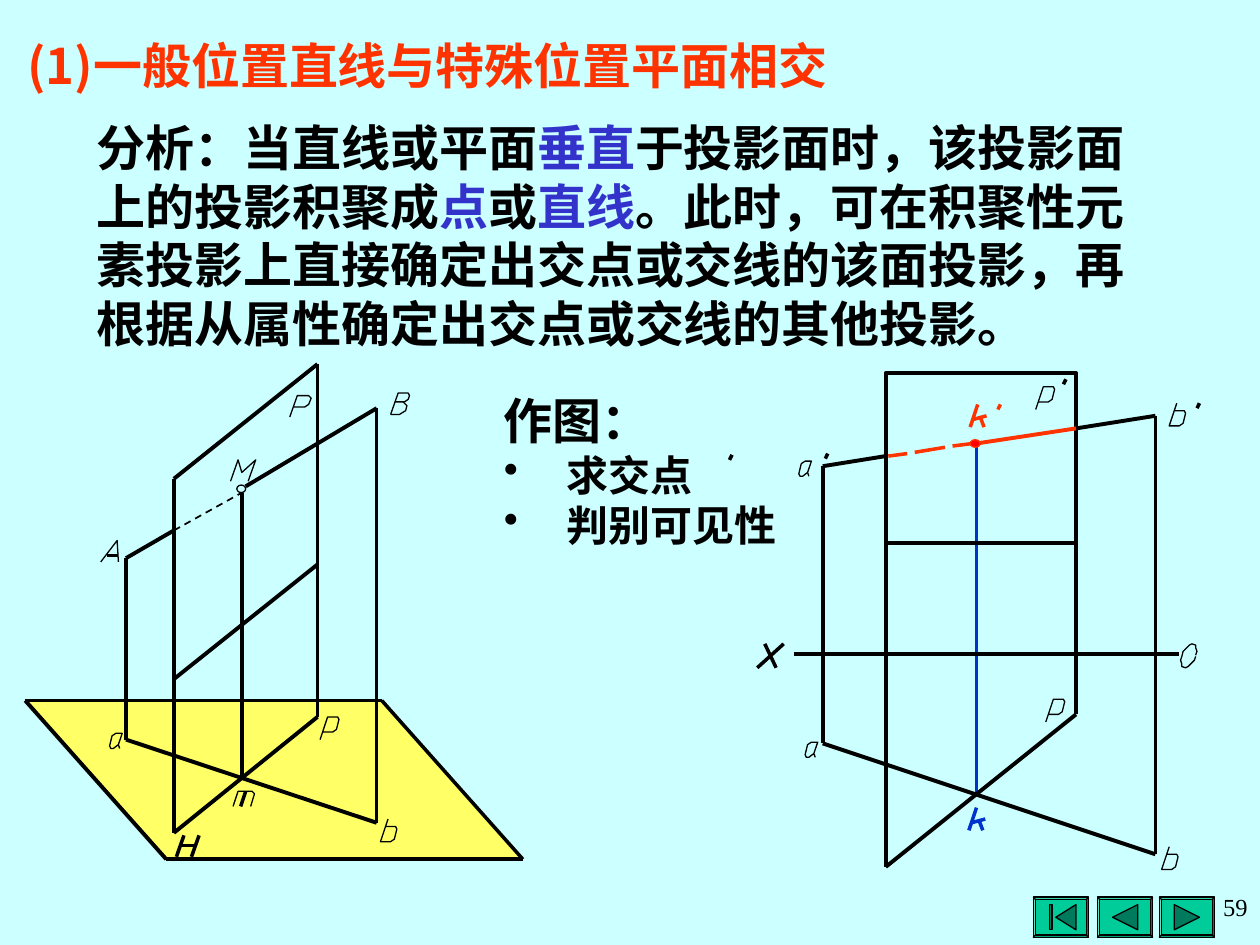
from math import cos, pi, sin
from typing import NamedTuple

from lxml import etree
from pptx import Presentation
from pptx.dml.color import RGBColor
from pptx.enum.dml import MSO_LINE
from pptx.enum.shapes import MSO_CONNECTOR, MSO_SHAPE
from pptx.enum.text import MSO_ANCHOR, PP_ALIGN
from pptx.oxml.ns import qn
from pptx.util import Pt

PX = 9144  # EMU in one px: 100 px to the inch
STRAIGHT, DASH = MSO_CONNECTOR.STRAIGHT, MSO_LINE.DASH
OVAL, BEVEL = MSO_SHAPE.OVAL, MSO_SHAPE.BEVEL
TOP, MIDDLE = MSO_ANCHOR.TOP, MSO_ANCHOR.MIDDLE
LEFT, RIGHT = PP_ALIGN.LEFT, PP_ALIGN.RIGHT

SKY = RGBColor.from_string("CCFFFF")
BLACK = RGBColor.from_string("000000")
ORANGE = RGBColor.from_string("FF3300")
RED = RGBColor.from_string("FF0000")
INDIGO = RGBColor.from_string("3333CC")
BLUE = RGBColor.from_string("0033CC")
YELLOW = RGBColor.from_string("FFFF66")
GREEN = RGBColor.from_string("00CC99")
DARK_GREEN = RGBColor.from_string("007A5C")
CJK, SERIF = "Noto Sans CJK SC", "Times New Roman"
HAIR, BOLD = 0, 2.25

Points = list[tuple[int, int]]


class Letter(NamedTuple):
    name: str
    x: int
    y: int
    color: RGBColor = BLACK


class Column(NamedTuple):
    """Points above one another; a projection line joins the last two."""
    x: int
    heights: tuple[int, ...]
    color: RGBColor = BLACK

    def at(self, index: int) -> tuple[int, int]:
        return self.x, self.heights[index]


class Span(NamedTuple):
    text: str
    color: RGBColor = BLACK


class Para(NamedTuple):
    spans: list[Span]
    size: int = 28
    font: str = CJK
    bold: bool = True
    align: PP_ALIGN = LEFT
    hanging: int = 0
    bullet: str = ""


# Upright single-stroke lettering; it is slanted when drawn
BOWL = [(0, 18), (0, 0), (8, 0), (10, 2), (10, 10), (8, 12), (0, 12)]
RING = [(round(5.5 + 5.5 * cos(step * pi / 8)), round(9.5 + 9.5 * sin(step * pi / 8)))
        for step in range(17)]
GLYPHS: dict[str, list[Points]] = {
    "A": [[(0, 17), (7, 0), (14, 17)], [(12, 12), (3, 12)]],
    "B": [[(0, 17), (0, 0), (8, 0), (10, 2), (10, 5), (8, 7), (0, 7)],
          [(7, 7), (11, 10), (11, 14), (7, 17), (0, 17)]],
    "H": [[(0, 17), (0, 0)], [(0, 8), (12, 8)], [(12, 0), (12, 17)]],
    "M": [[(0, 17), (0, 0), (7, 10), (14, 0), (14, 17)]],
    "O": [RING],
    "P": [[(0, 17), (0, 0), (9, 0), (12, 2), (12, 7), (9, 9), (0, 9)]],
    "X": [[(0, 0), (15, 19)], [(15, 0), (0, 19)]],
    "a": [[(9, 12), (7, 9), (7, 0), (2, 0), (0, 2), (0, 10), (2, 12), (4, 12), (7, 9)]],
    "b": [[(x, 18 - y) for x, y in BOWL]],
    "k": [[(0, 18), (0, 0)], [(10, 9), (0, 12)], [(5, 10), (11, 18)]],
    "m": [[(14, 12), (14, 2), (11, 0), (0, 0), (0, 12)], [(6, 12), (6, 0)]],
    "p": [BOWL],
    "′": [[(0, 4), (1, 0)]],
}
LETTERS = [
    Letter("A", 80, 429), Letter("B", 310, 312), Letter("P", 230, 314), Letter("M", 183, 365),
    Letter("a", 86, 582), Letter("b", 302, 650), Letter("p", 254, 569), Letter("m", 185, 628),
    Letter("H", 140, 663), Letter("X", 601, 511), Letter("O", 935, 511),
    Letter("a′", 633, 366), Letter("b′", 928, 320), Letter("p′", 822, 307),
    Letter("k′", 770, 321, ORANGE), Letter("′", 579, 361),
    Letter("a", 638, 589), Letter("b", 922, 672), Letter("p", 830, 555),
    Letter("k", 769, 641, BLUE),
]


def paint(shape, fill: RGBColor | None, line: RGBColor | None, width: float = HAIR) -> None:
    shape.shadow.inherit = False
    for part, color in ((shape.fill, fill), (shape.line.fill, line)):
        if color is None:
            part.background()
        else:
            part.solid()
            part.fore_color.rgb = color
    if line is not None:
        shape.line.width = Pt(width)


def outline(shapes, points: Points, closed: bool = True):
    builder = shapes.build_freeform(*points[0], scale=PX)
    builder.add_line_segments(points[1:], close=closed)
    return builder.convert_to_shape()


def draw_stroke(shapes, *points: tuple[int, int], width: float = HAIR,
                color: RGBColor = BLACK, dash: MSO_LINE | None = None) -> None:
    if len(points) > 2:
        paint(outline(shapes, list(points), False), None, color, width)
        return
    ends = [value * PX for point in points for value in point]
    line = shapes.add_connector(STRAIGHT, *ends)
    for name, value in {"width": Pt(width), "dash_style": dash}.items():
        setattr(line.line, name, value)
    line.line.color.rgb = color
    etree.SubElement(line._element.spPr, qn("a:effectLst"))


def draw_letter(shapes, letter: Letter) -> None:
    left, top = letter.x, letter.y
    for name in letter.name:
        strokes = GLYPHS[name]
        height = max(y for points in strokes for _, y in points)
        for points in strokes:
            slanted = [(left + x + round((height - y) / 3), top + y) for x, y in points]
            draw_stroke(shapes, *slanted, color=letter.color)
        # A prime stands higher beside a letter without an ascender
        left, top = left + 22, top - 6 * (name in "ap")


def draw_space_view(shapes) -> None:
    corners = [(20, 556), (303, 556), (415, 682), (132, 682)]
    paint(outline(shapes, corners), YELLOW, None)
    for index, width in enumerate((HAIR, HAIR, BOLD, BOLD)):
        draw_stroke(shapes, corners[index], corners[(index + 1) % 4], width=width)
    start, near, meet, far, end = columns = [
        Column(100, (443, 587)), Column(138, (380, 421, 539, 661)), Column(192, (391, 617)),
        Column(252, (289, 448, 569)), Column(299, (324, 653))]
    for column in columns:
        draw_stroke(shapes, column.at(-2), column.at(-1))
    for side in (near, far):
        draw_stroke(shapes, side.at(0), side.at(-2), width=BOLD)
    for level in (0, -2, -1):
        draw_stroke(shapes, near.at(level), far.at(level), width=BOLD)
    draw_stroke(shapes, start.at(0), near.at(1), width=BOLD)
    draw_stroke(shapes, near.at(1), meet.at(0), width=1, dash=DASH)
    draw_stroke(shapes, (195, 386), end.at(0), width=BOLD)
    draw_stroke(shapes, start.at(-1), end.at(-1), width=BOLD)


def draw_projection_view(shapes) -> None:
    start, near, meet, far, end = columns = [
        Column(653, (370, 590)), Column(703, (296, 362, 431, 688)),
        Column(775, (352, 631), BLUE), Column(854, (296, 340, 431, 567)),
        Column(917, (330, 678))]
    for column in columns:
        draw_stroke(shapes, column.at(-2), column.at(-1), color=column.color)
    draw_stroke(shapes, (630, 519), (936, 519))
    draw_stroke(shapes, near.at(2), near.at(0), far.at(0), far.at(2), width=BOLD)
    for first, last in ((near.at(2), far.at(2)), (start.at(0), near.at(1)),
                        (far.at(1), end.at(0)), (start.at(-1), end.at(-1)),
                        (near.at(-1), far.at(-1))):
        draw_stroke(shapes, first, last, width=BOLD)
    draw_stroke(shapes, meet.at(0), far.at(1), width=BOLD, color=ORANGE)
    for left, right in ((705, 720), (726, 750), (756, 772)):
        dash = [(x, 362 - round((x - near.x) / 7)) for x in (left, right)]
        draw_stroke(shapes, *dash, color=ORANGE)


def draw_button(shapes, left: int, direction: int, stop_bar: bool = False) -> None:
    button = add_preset(shapes, BEVEL, left, 712, 44, 32)
    button.adjustments[0] = 0.06
    paint(button, GREEN, BLACK, 0.75)
    middle, reach = left + (26 if stop_bar else 22), 8 if stop_bar else 10
    back, tip = middle - direction * reach, middle + direction * reach
    icons = [[(back, 718), (tip, 728), (back, 738)]]
    if stop_bar:
        bar, edge = left + 13, left + 15
        icons.append([(bar, 718), (edge, 718), (edge, 738), (bar, 738)])
    for icon in icons:
        paint(outline(shapes, icon), DARK_GREEN, BLACK, 0.75)


def add_preset(shapes, kind: MSO_SHAPE, *place: int):
    return shapes.add_shape(kind, *(value * PX for value in place))


def add_text(shapes, place: tuple[int, ...], paras: list[Para], anchor: MSO_ANCHOR = TOP,
             margins: tuple[int, int] = (9, 1)) -> None:
    frame = shapes.add_textbox(*(value * PX for value in place)).text_frame
    settings = {"word_wrap": True, "vertical_anchor": anchor,
                "margin_top": margins[0] * PX, "margin_bottom": margins[1] * PX}
    for name, value in settings.items():
        setattr(frame, name, value)
    for index, para in enumerate(paras):
        target = frame.add_paragraph() if index else frame.paragraphs[0]
        target.alignment = para.align
        target.line_spacing = Pt(round(para.size * 1.2, 1))
        properties = target._p.get_or_add_pPr()
        if para.hanging:
            properties.set("marL", str(para.hanging * PX))
            properties.set("indent", str(-para.hanging * PX))
        if para.bullet:
            etree.SubElement(properties, qn("a:buChar"), char=para.bullet)
        for span in para.spans:
            run = target.add_run()
            run.text = span.text
            for name, value in {"size": Pt(para.size), "bold": para.bold,
                                "name": para.font}.items():
                setattr(run.font, name, value)
            run.font.color.rgb = span.color
            etree.SubElement(run._r.get_or_add_rPr(), qn("a:ea"), typeface=para.font)


def main() -> None:
    deck = Presentation()
    deck.slide_width, deck.slide_height = 1000 * PX, 750 * PX
    page = deck.slides.add_slide(deck.slide_layouts[6])
    page.background.fill.solid()
    page.background.fill.fore_color.rgb = SKY
    shapes = page.shapes

    # Navigation buttons
    draw_button(shapes, 920, 1)
    draw_button(shapes, 871, -1)
    draw_button(shapes, 820, -1, stop_bar=True)

    # Title, analysis and steps
    add_text(shapes, (12, 19, 780, 57),
             [Para([Span("(1)一般位置直线与特殊位置平面相交", ORANGE)])], MIDDLE)
    add_text(shapes, (67, 84, 858, 197), [Para([
        Span("分析：当直线或平面"), Span("垂直", INDIGO),
        Span("于投影面时，该投影面上的投影积聚成"), Span("点", INDIGO), Span("或"),
        Span("直线", INDIGO),
        Span("。此时，可在积聚性元素投影上直接确定出交点或交线的该面投影，"
             "再根据从属性确定出交点或交线的其他投影。")])], MIDDLE)
    steps = [Para([Span(text)], 24, hanging=50, bullet="•") for text in ("求交点", "判别可见性")]
    add_text(shapes, (390, 301, 252, 137), [Para([Span("作图：")], hanging=50), *steps])

    # Both views, their lettering and the points of intersection
    draw_space_view(shapes)
    draw_projection_view(shapes)
    for letter in LETTERS:
        draw_letter(shapes, letter)
    paint(add_preset(shapes, OVAL, 188, 385, 7, 6), None, BLACK)
    paint(add_preset(shapes, OVAL, 770, 349, 8, 6), RED, ORANGE)

    # Page number
    add_text(shapes, (748, 703, 252, 61),
             [Para([Span("59")], 14, SERIF, False, RIGHT)], margins=(5, 5))
    deck.save("out.pptx")


if __name__ == "__main__":
    main()
